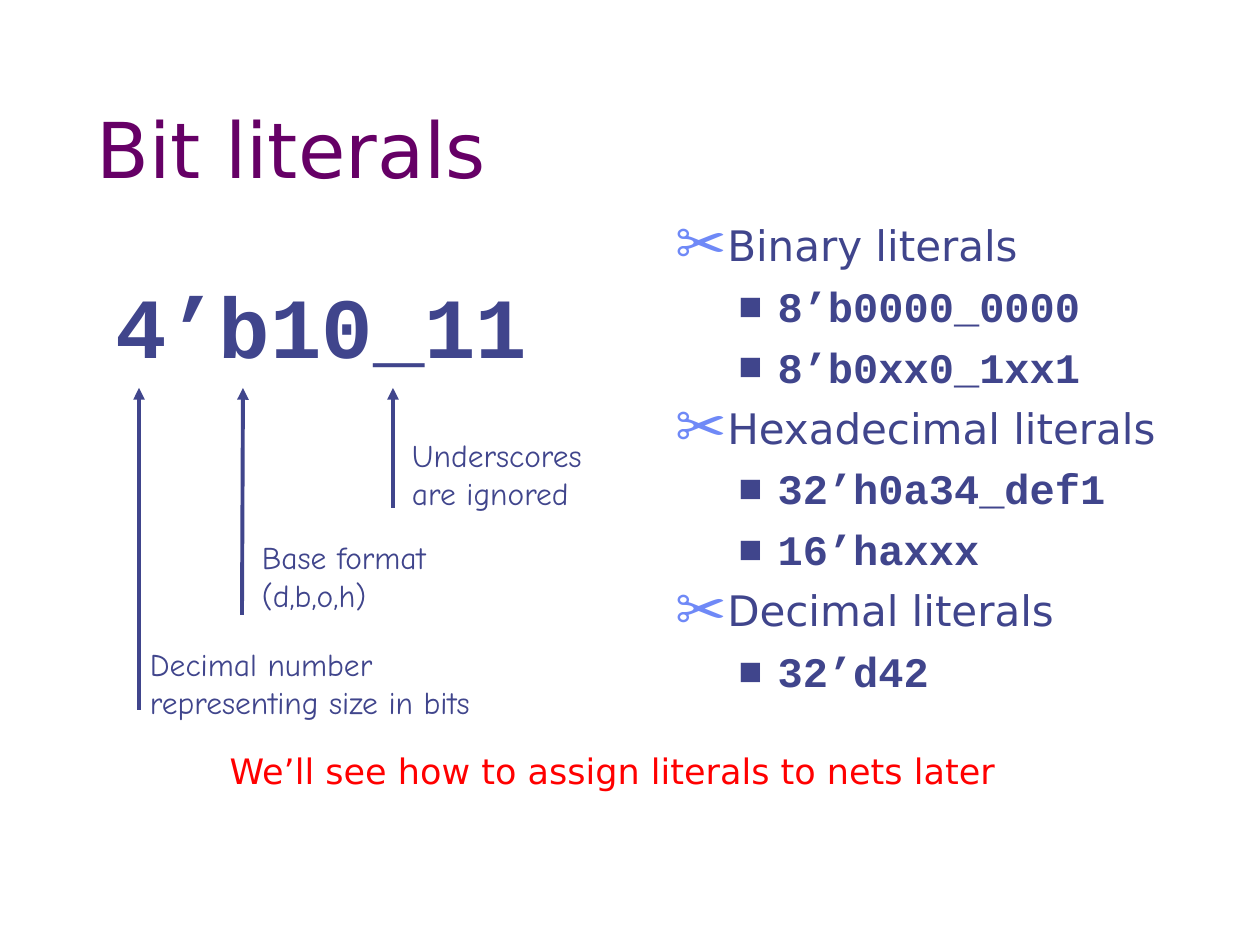
"""Build the slide on Verilog bit literals."""
from typing import NamedTuple

from lxml.etree import SubElement as Sub
from pptx import Presentation
from pptx.dml.color import RGBColor as Rgb
from pptx.enum.shapes import MSO_CONNECTOR as Link
from pptx.enum.text import MSO_ANCHOR as Anchor, MSO_AUTO_SIZE as Fit, PP_ALIGN as Align
from pptx.oxml.ns import qn
from pptx.util import Emu, Pt

INK = {"title": "660066", "text": "40458C", "mark": "6F89F7", "note": "FF0000"}
SANS, MONO, HAND = "DejaVu Sans", "Courier New", "Comic Neue"


class Box(NamedTuple):
    x: int
    y: int
    w: int
    h: int


class Font(NamedTuple):
    name: str
    size: int
    ink: str = "text"
    bold: bool = False


class Level(NamedTuple):
    font: Font
    left: int
    hang: int
    mark: str
    ink: str
    pct: int


class Label(NamedTuple):
    box: Box
    lines: list[str]
    wrap: bool


class Arrow(NamedTuple):
    x: int
    low: int
    tip: int


LEVELS = [
    Level(Font(SANS, 24), 47, 47, "✂", "mark", 147),
    Level(Font(MONO, 24, bold=True), 102, 39, "■", "text", 60),
]
ITEMS = [
    (0, "Binary literals"),
    (1, "8’b0000_0000"),
    (1, "8’b0xx0_1xx1"),
    (0, "Hexadecimal literals"),
    (1, "32’h0a34_def1"),
    (1, "16’haxxx"),
    (0, "Decimal literals"),
    (1, "32’d42"),
]
LABELS = [
    Label(Box(412, 436, 181, 76), ["Underscores", "are ignored"], False),
    Label(Box(262, 538, 165, 76), ["Base format", "(d,b,o,h)"], False),
    Label(Box(150, 645, 381, 76), ["Decimal number representing size in bits"], True),
]
ARROWS = [Arrow(139, 710, 139), Arrow(242, 615, 243), Arrow(393, 508, 393)]
TIP = 388


def px(n: int) -> Emu:
    return Emu(round(n * 914400 / 126))


def place(shape, box: Box) -> None:
    shape.left, shape.top, shape.width, shape.height = map(px, box)


def add_run(para, text: str, font: Font) -> None:
    run = para.add_run()
    run.text = text
    run.font.name, run.font.size, run.font.bold = font.name, Pt(font.size), font.bold
    run.font.color.rgb = Rgb.from_string(INK[font.ink])


def add_mark(para, lev: Level) -> None:
    prop = para._p.get_or_add_pPr()
    prop.set("marL", str(px(lev.left)))
    prop.set("indent", str(-px(lev.hang)))
    Sub(Sub(prop, qn("a:buClr")), qn("a:srgbClr"), val=INK[lev.ink])
    Sub(prop, qn("a:buSzPct"), val=str(lev.pct * 1000))
    Sub(prop, qn("a:buFont"), typeface=SANS)
    Sub(prop, qn("a:buChar"), char=lev.mark)


def add_text(slide, box: Box, lines: list[str], font: Font, pad: bool = False, wrap: bool = True):
    shape = slide.shapes.add_textbox(*map(px, box))
    frame = shape.text_frame
    frame.word_wrap, frame.auto_size = wrap, Fit.SHAPE_TO_FIT_TEXT
    if not pad:
        frame.margin_left = frame.margin_right = 0
        frame.margin_top = frame.margin_bottom = 0
    for i, line in enumerate(lines):
        add_run(frame.add_paragraph() if i else frame.paragraphs[0], line, font)
    return frame


def add_arrow(slide, arrow: Arrow) -> None:
    ends = map(px, (arrow.x, arrow.low, arrow.tip, TIP))
    link = slide.shapes.add_connector(Link.STRAIGHT, *ends)
    link.line.color.rgb = Rgb.from_string(INK["text"])
    link.line.width = Pt(2.25)
    Sub(link.line._get_or_add_ln(), qn("a:tailEnd"), type="triangle")
    Sub(link._element.spPr, qn("a:effectLst"))


def add_title(slide) -> None:
    title = slide.shapes.title
    place(title, Box(84, 74, 1071, 126))
    frame = title.text_frame
    frame.vertical_anchor, frame.auto_size = Anchor.BOTTOM, Fit.NONE
    frame.paragraphs[0].alignment = Align.LEFT
    add_run(frame.paragraphs[0], "Bit literals", Font(SANS, 44, "title"))


def add_list(slide) -> None:
    body = slide.placeholders[1]
    place(body, Box(663, 213, 538, 520))
    frame = body.text_frame
    frame.auto_size = Fit.NONE
    for i, (rank, text) in enumerate(ITEMS):
        para = frame.add_paragraph() if i else frame.paragraphs[0]
        para.level, para.space_before = rank, Pt(6)
        add_mark(para, LEVELS[rank])
        add_run(para, text, LEVELS[rank].font)


def main() -> None:
    deck = Presentation()
    deck.slide_width, deck.slide_height = px(1260), px(945)
    slide = deck.slides.add_slide(deck.slide_layouts[1])
    add_title(slide)
    add_list(slide)
    add_text(slide, Box(116, 273, 450, 103), ["4’b10_11"], Font(MONO, 49, bold=True))
    for arrow in ARROWS:
        add_arrow(slide, arrow)
    for label in LABELS:
        add_text(slide, label.box, label.lines, Font(HAND, 18), wrap=label.wrap)
    words = ["We’ll see how to assign literals to nets later"]
    note = add_text(slide, Box(123, 743, 979, 55), words, Font(SANS, 20, "note"), pad=True)
    note.paragraphs[0].alignment = Align.CENTER
    note.paragraphs[0].space_before = Pt(6.2)
    deck.save("out.pptx")


if __name__ == "__main__":
    main()
